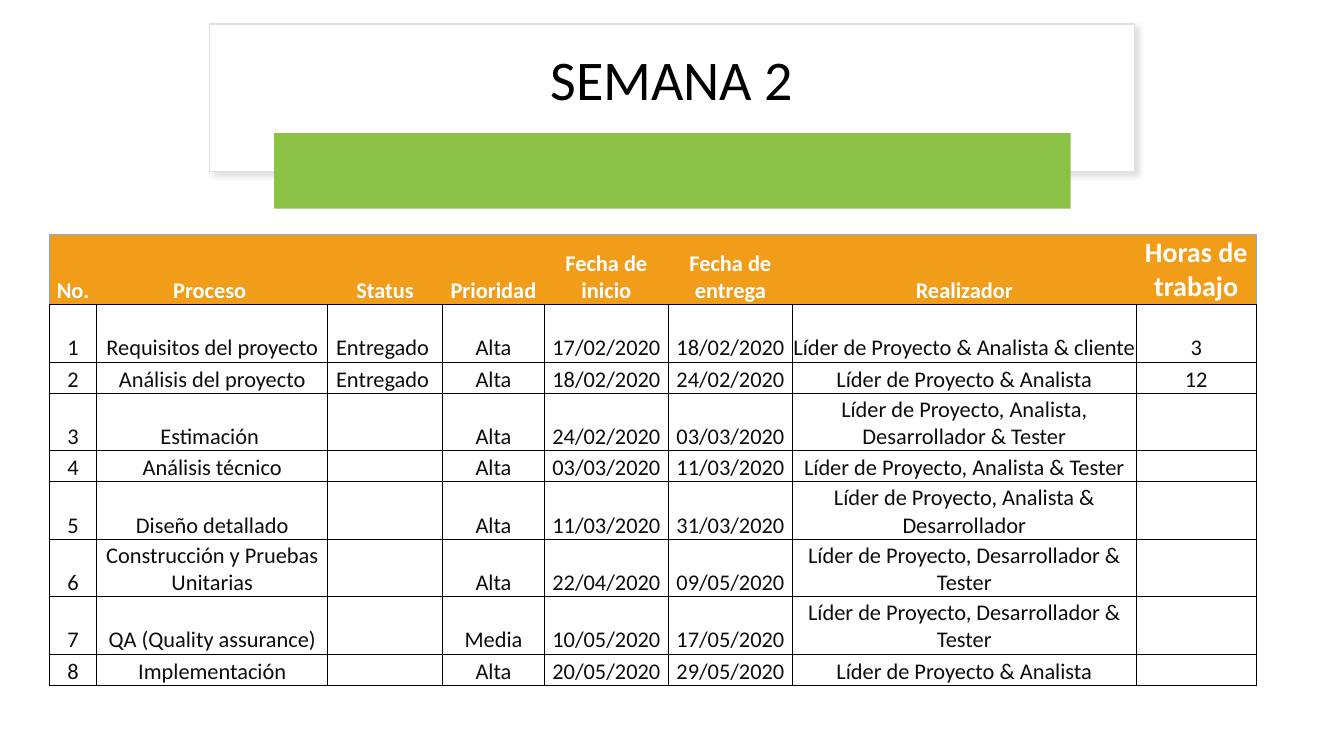
from lxml import etree
from pptx import Presentation
from pptx.dml.color import RGBColor
from pptx.enum.shapes import MSO_SHAPE
from pptx.enum.text import MSO_ANCHOR, PP_ALIGN
from pptx.oxml.ns import qn
from pptx.util import Inches, Pt

RECTANGLE = MSO_SHAPE.RECTANGLE
MIDDLE, BOTTOM = MSO_ANCHOR.MIDDLE, MSO_ANCHOR.BOTTOM
CENTER = PP_ALIGN.CENTER

FONT = "Calibri"
BLACK, WHITE, INK = "000000", "FFFFFF", "0D0D0D"
GREEN, ORANGE, BLUE = "8BC145", "F19D19", "8EA9DB"
FRAME_LINE, FRAME_SHADOW = "E1E1E1", "C5C3C3"

TITLE = "SEMANA 2"
HEADERS = ["No.", "Proceso ", "Status", "Prioridad", "Fecha de inicio",
           "Fecha de entrega", "Realizador", "Horas de trabajo"]
TASKS = [
    ("Requisitos del proyecto", "Entregado ", "Alta", "17/02/2020", "18/02/2020",
     "Líder de Proyecto & Analista & cliente", "3"),
    ("Análisis del proyecto", "Entregado ", "Alta", "18/02/2020", "24/02/2020",
     "Líder de Proyecto & Analista", "12"),
    ("Estimación ", "", "Alta", "24/02/2020", "03/03/2020",
     "Líder de Proyecto, Analista, Desarrollador & Tester", ""),
    ("Análisis técnico", "", "Alta", "03/03/2020", "11/03/2020",
     "Líder de Proyecto, Analista & Tester", ""),
    ("Diseño detallado", "", "Alta", "11/03/2020", "31/03/2020",
     "Líder de Proyecto, Analista & Desarrollador", ""),
    ("Construcción y Pruebas Unitarias", "", "Alta", "22/04/2020", "09/05/2020",
     "Líder de Proyecto, Desarrollador & Tester", ""),
    ("QA (Quality assurance)", "", "Media", "10/05/2020", "17/05/2020",
     "Líder de Proyecto, Desarrollador & Tester", ""),
    ("Implementación", "", "Alta", "20/05/2020", "29/05/2020",
     "Líder de Proyecto & Analista", ""),
]
COLUMN_WIDTHS = [0.47, 2.29, 1.14, 1.01, 1.23, 1.23, 3.41, 1.19]
HEADER_HEIGHT, TWO_LINES, ONE_LINE = 0.7, 0.57, 0.31
ROW_HEIGHTS = [HEADER_HEIGHT, TWO_LINES, ONE_LINE, TWO_LINES, ONE_LINE,
               TWO_LINES, TWO_LINES, TWO_LINES, ONE_LINE]


def rgb(value):
    return RGBColor.from_string(value)


def add_box(page, left, top, width, height, fill):
    box = page.shapes.add_shape(RECTANGLE, Inches(left), Inches(top),
                                Inches(width), Inches(height))
    box.shadow.inherit = False
    box.fill.solid()
    box.fill.fore_color.rgb = rgb(fill)
    box.line.fill.background()
    return box


def add_shadow(box, color):
    effects = box._element.spPr.find(qn("a:effectLst"))
    shadow = etree.SubElement(effects, qn("a:outerShdw"), blurRad=str(Pt(4)),
                              dist=str(Pt(3)), dir=str(45 * 60000),
                              algn="tl", rotWithShape="0")
    shade = etree.SubElement(shadow, qn("a:srgbClr"), val=color)
    etree.SubElement(shade, qn("a:alpha"), val="50000")


def write(paragraph, text, size, color, bold=False):
    paragraph.alignment = CENTER
    if not text:
        # An empty cell still takes its line height from this size.
        etree.SubElement(paragraph._p, qn("a:endParaRPr"), sz=str(size * 100))
        return
    paragraph.text = text
    font = paragraph.runs[0].font
    font.name, font.size, font.bold = FONT, Pt(size), bold
    font.color.rgb = rgb(color)


def set_borders(cell, colors):
    """Draw left, right, top and bottom borders; None means no line."""
    properties = cell._tc.get_or_add_tcPr()
    for side, color in zip("LRTB", colors):
        line = etree.SubElement(properties, qn(f"a:ln{side}"), w=str(Pt(0.5)))
        if color:
            fill = etree.SubElement(line, qn("a:solidFill"))
            etree.SubElement(fill, qn("a:srgbClr"), val=color)
        else:
            etree.SubElement(line, qn("a:noFill"))


def add_task_table(page):
    rows = [HEADERS] + [(str(number), *task) for number, task in enumerate(TASKS, 1)]
    table = page.shapes.add_table(
        len(rows), len(HEADERS), Inches(0.49), Inches(2.32),
        Inches(sum(COLUMN_WIDTHS)), Inches(sum(ROW_HEIGHTS))).table
    table.first_row = table.horz_banding = False
    for column, width in zip(table.columns, COLUMN_WIDTHS):
        column.width = Inches(width)
    for row, height in zip(table.rows, ROW_HEIGHTS):
        row.height = Inches(height)

    last = len(HEADERS) - 1
    for r, texts in enumerate(rows):
        for c, text in enumerate(texts):
            cell = table.cell(r, c)
            cell.margin_left = cell.margin_right = cell.margin_top = Inches(0.01)
            cell.margin_bottom = 0
            cell.vertical_anchor = BOTTOM
            header = r == 0
            if header:
                borders = (BLUE if c == 0 else None, BLUE if c == last else None,
                           BLUE, BLACK)
            else:
                borders = (BLACK,) * 4
            set_borders(cell, borders)
            cell.fill.solid()
            cell.fill.fore_color.rgb = rgb(ORANGE if header else WHITE)
            size = 20 if header and c == last else 16
            write(cell.text_frame.paragraphs[0], text, size,
                  WHITE if header else INK, header)


def main():
    deck = Presentation()
    deck.slide_width, deck.slide_height = Inches(13.33), Inches(7.5)
    page = deck.slides.add_slide(deck.slide_layouts[6])

    frame = add_box(page, 2.08, 0.24, 9.17, 1.46, WHITE)
    frame.line.color.rgb = rgb(FRAME_LINE)
    frame.line.width = Pt(1)
    add_shadow(frame, FRAME_SHADOW)

    title = page.shapes.add_textbox(Inches(2.3), Inches(0.34),
                                    Inches(8.73), Inches(0.95)).text_frame
    title.word_wrap = True
    title.vertical_anchor = MIDDLE
    heading = title.paragraphs[0]
    write(heading, TITLE, 40, BLACK)
    heading.line_spacing = 0.9
    heading.space_after = Pt(6)

    add_box(page, 2.72, 1.32, 7.9, 0.75, GREEN)
    add_task_table(page)
    deck.save("out.pptx")


if __name__ == "__main__":
    main()
